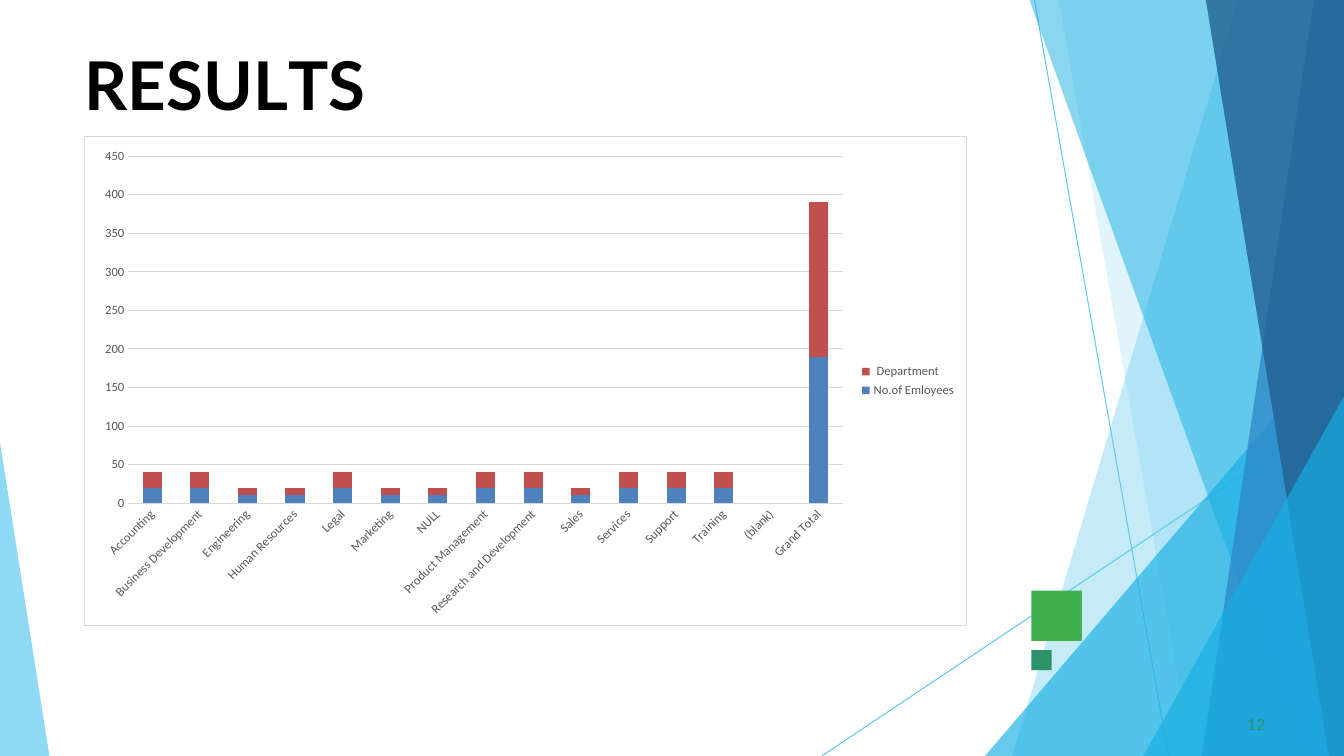
from lxml import etree
from pptx import Presentation
from pptx import util as u
from pptx.chart.data import CategoryChartData
from pptx.dml.color import RGBColor
from pptx.enum import chart as ch, shapes, text
from pptx.oxml import parse_xml
from pptx.oxml.ns import nsdecls, qn

W, H = 13.33, 7.5
HEADING_FONT, CHART_FONT = "Lato", "Calibri"
GREY, GRID = "595959", "D9D9D9"

# Thin rays: start and end points
RAYS = [((10.26, 0), (11.59, H)), ((W, 4.04), (8.15, H))]
# Translucent facets: corner points, colour, opacity in percent
FACETS = [
    ([(W, 0), (12.28, 0), (10.04, H), (W, H)], "5FCAEE", 36),
    ([(W, 0), (10.5, 0), (11.82, H), (W, H)], "5FCAEE", 20),
    ([(W, 3.33), (9.77, H), (W, H)], "17AFE3", 66),
    ([(W, 0), (10.21, 0), (12.91, H), (W, H)], "17AFE3", 50),
    ([(W, 0), (13.03, 0), (11.92, H), (W, H)], "2D83C3", 70),
    ([(W, 0), (11.96, 0), (13.18, H), (W, H)], "226192", 80),
    ([(W, 3.93), (11.34, H), (W, H)], "17AFE3", 66),
    ([(0, 4.39), (0, H), (0.49, H)], "5FCAEE", 70),
]
# Letters of the title with their spacing in points
TITLE_RUNS = [("R", 0), ("E", -0.4), ("S", 0.1), ("U", -0.3), ("L", -4), ("TS", 0)]

DEPARTMENTS = ["Accounting", "Business Development", "Engineering", "Human Resources",
               "Legal", "Marketing", "NULL", "Product Management",
               "Research and Development", "Sales", "Services", "Support", "Training",
               "(blank)", "Grand Total"]
COUNTS = [20, 20, 10, 10, 20, 10, 10, 20, 20, 10, 20, 20, 20, None]
SERIES = [("No.of Emloyees", COUNTS + [190], "4F81BD"),
          (" Department", COUNTS + [200], "C0504D")]


def rgb(color):
    return RGBColor.from_string(color)


def paint(shape, color, opacity=100):
    shape.shadow.inherit = False
    shape.fill.solid()
    shape.fill.fore_color.rgb = rgb(color)
    shape.line.fill.background()
    if opacity < 100:
        srgb = shape.fill._xPr.find(qn("a:solidFill"))[0]
        etree.SubElement(srgb, qn("a:alpha")).set("val", str(opacity * 1000))


def style_font(font, name, size, color, bold=False):
    font.name, font.size, font.bold = name, u.Pt(size), bold
    font.color.rgb = rgb(color)


def place(shape, box):
    shape.left, shape.top, shape.width, shape.height = map(u.Inches, box)


def write_line(shape, runs, size, color, bold, indent, before):
    frame = shape.text_frame
    frame.word_wrap = True
    frame.auto_size = text.MSO_AUTO_SIZE.SHAPE_TO_FIT_TEXT
    frame.vertical_anchor = text.MSO_ANCHOR.TOP
    frame.margin_left = frame.margin_right = frame.margin_bottom = 0
    frame.margin_top = u.Inches(0.01)
    line = frame.paragraphs[0]
    line.alignment = text.PP_ALIGN.LEFT
    line.space_before = u.Pt(before)
    line._p.get_or_add_pPr().set("marL", str(u.Inches(indent)))
    for letters, spacing in runs:
        run = line.add_run()
        run.text = letters
        style_font(run.font, HEADING_FONT, size, color, bold)
        run._r.get_or_add_rPr().set("spc", str(round(spacing * 100)))


def draw_backdrop(slide):
    for start, end in RAYS:
        ray = slide.shapes.add_connector(shapes.MSO_CONNECTOR.STRAIGHT,
                                         *map(u.Inches, start + end))
        ray.line.color.rgb = rgb("5FCAEE")
        ray.line.width = u.Pt(0.75)
        etree.SubElement(ray._element.spPr, qn("a:effectLst"))
    for corners, color, opacity in FACETS:
        points = [(u.Inches(x), u.Inches(y)) for x, y in corners]
        outline = slide.shapes.build_freeform(*points[0])
        outline.add_line_segments(points[1:], close=True)
        paint(outline.convert_to_shape(), color, opacity)


def draw_squares(slide, left, top):
    for offset, side, color in [(0, 0.5, "42AF51"), (0.59, 0.2, "2D936B")]:
        square = slide.shapes.add_shape(
            shapes.MSO_SHAPE.RECTANGLE,
            *map(u.Inches, (left, top + offset, side, side)))
        paint(square, color)


def draw_title(slide, box):
    title = slide.shapes.title
    place(title, box)
    write_line(title, TITLE_RUNS, 48, "000000", True, 0.01, 1.1)


def draw_page_number(slide, box):
    number = slide.shapes.add_textbox(*map(u.Inches, box))
    write_line(number, [("12", 0.1)], 11, "2D936B", False, 0.04, 0.6)


def draw_chart(slide, box):
    data = CategoryChartData()
    data.categories = DEPARTMENTS
    for name, values, _ in SERIES:
        data.add_series(name, values)
    chart = slide.shapes.add_chart(ch.XL_CHART_TYPE.COLUMN_STACKED,
                                   *map(u.Inches, box), data).chart
    chart.has_title = False
    style_font(chart.font, CHART_FONT, 10, "000000")

    # Columns
    plot = chart.plots[0]
    plot.gap_width, plot.overlap, plot.vary_by_categories = 150, 100, False
    for series, (_, _, color) in zip(plot.series, SERIES):
        series.format.fill.solid()
        series.format.fill.fore_color.rgb = rgb(color)
        series.invert_if_negative = False

    # Axes and legend
    for axis in (chart.category_axis, chart.value_axis):
        axis.major_tick_mark = axis.minor_tick_mark = ch.XL_TICK_MARK.NONE
        axis.format.line.fill.background()
        style_font(axis.tick_labels.font, CHART_FONT, 9, GREY)
    labels = chart.category_axis._element.find(qn("c:txPr"))
    labels.find(qn("a:bodyPr")).set("rot", str(-45 * 60000))
    scale = chart.value_axis
    scale.minimum_scale, scale.maximum_scale, scale.major_unit = 0, 450, 50
    scale.major_gridlines.format.line.color.rgb = rgb(GRID)
    scale.major_gridlines.format.line.width = u.Pt(0.75)
    chart.has_legend = True
    chart.legend.position = ch.XL_LEGEND_POSITION.RIGHT
    chart.legend.include_in_layout = False
    style_font(chart.legend.font, CHART_FONT, 9, GREY)

    # Plot area position and chart frame
    area = chart._chartSpace.find(qn("c:chart")).find(qn("c:plotArea"))
    for old in area.findall(qn("c:layout")):
        area.remove(old)
    area.insert(0, parse_xml(
        f'<c:layout {nsdecls("c")}><c:manualLayout><c:layoutTarget val="inner"/>'
        '<c:xMode val="edge"/><c:yMode val="edge"/><c:x val="0.05"/><c:y val="0.04"/>'
        '<c:w val="0.81"/><c:h val="0.71"/></c:manualLayout></c:layout>'))
    chart._chartSpace.find(qn("c:chart")).addnext(parse_xml(
        f'<c:spPr {nsdecls("c", "a")}><a:solidFill><a:srgbClr val="FFFFFF"/></a:solidFill>'
        f'<a:ln w="{u.Pt(0.75)}"><a:solidFill><a:srgbClr val="{GRID}"/></a:solidFill></a:ln>'
        '</c:spPr>'))


def main():
    deck = Presentation()
    deck.slide_width, deck.slide_height = u.Inches(W), u.Inches(H)
    slide = deck.slides.add_slide(deck.slide_layouts[5])
    draw_backdrop(slide)
    draw_squares(slide, 10.23, 5.86)
    draw_title(slide, (0.83, 0.42, 3.8, 0.74))
    draw_page_number(slide, (12.33, 7.08, 0.25, 0.17))
    draw_chart(slide, (0.83, 1.35, 8.76, 4.86))
    deck.save("out.pptx")


if __name__ == "__main__":
    main()
